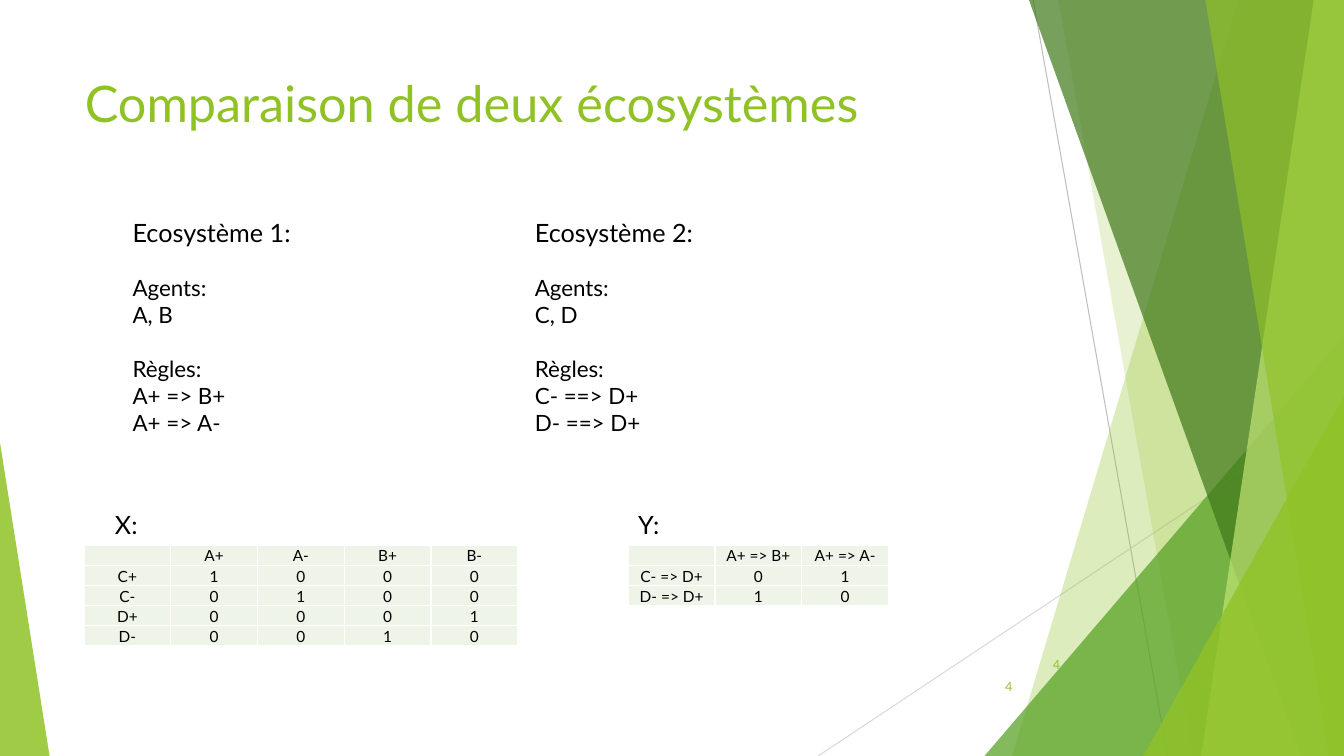
import collections

import lxml.etree
import pptx
import pptx.dml.color
import pptx.enum.shapes
import pptx.enum.text
import pptx.oxml.ns
import pptx.util

Box = collections.namedtuple("Box", "left top width height")
ALIGN = pptx.enum.text.PP_ALIGN
ANCHOR = pptx.enum.text.MSO_ANCHOR
SHAPE = pptx.enum.shapes.MSO_SHAPE
FONT = "Lato"
COLOURS = {
    "lime": "90C226", "green": "54A021", "forest": "3F7819", "pale": "C0E474",
    "grey": "BFBFBF", "light grey": "D9D9D9", "cell": "EEF4E8",
    "white": "FFFFFF", "black": "000000",
}
# The slide is a grid of 160 columns by 90 rows of square cells.
COLUMNS, ROWS = 160, 90
CELL = pptx.util.Inches(7.5) / ROWS
TABLE_COLUMN, TABLE_ROW = 10.33, 2.4


def grid(*cells):
    """Turn numbers of grid cells into lengths."""
    return [pptx.util.Emu(round(cell * CELL)) for cell in cells]


def rgb(name):
    """Return the named colour."""
    return pptx.dml.color.RGBColor.from_string(COLOURS[name])


def add_xml(parent, tag, **attributes):
    """Append a DrawingML element to its parent."""
    return lxml.etree.SubElement(parent, pptx.oxml.ns.qn(tag), attributes)


def format_text(text_frame, size, colour="black", align=ALIGN.LEFT):
    """Give every run the same font, size and colour."""
    for paragraph in text_frame.paragraphs:
        paragraph.alignment = align
        for run in paragraph.runs:
            run.font.name, run.font.size = FONT, pptx.util.Pt(size)
            run.font.color.rgb = rgb(colour)


def add_text(slide, box, text, size, colour="black", align=ALIGN.LEFT, anchor=ANCHOR.TOP):
    """Place a text box and return its frame."""
    text_frame = slide.shapes.add_textbox(*grid(*box)).text_frame
    text_frame.word_wrap = True
    text_frame.vertical_anchor = anchor
    text_frame.text = text
    format_text(text_frame, size, colour, align)
    return text_frame


def paint(shape, colour, opacity):
    """Fill a shape with a see-through colour, without outline or shadow."""
    shape.shadow.inherit = False
    shape.line.fill.background()
    shape.fill.solid()
    shape.fill.fore_color.rgb = rgb(colour)
    fill = shape.fill._xPr.find(pptx.oxml.ns.qn("a:solidFill"))
    add_xml(fill[0], "a:alpha", val=str(opacity * 1000))


def add_line(slide, start, end, colour):
    """Draw a thin straight line."""
    line = slide.shapes.add_connector(
        pptx.enum.shapes.MSO_CONNECTOR.STRAIGHT, *grid(*start, *end))
    line.line.color.rgb = rgb(colour)
    line.line.width = pptx.util.Pt(0.75)
    add_xml(line._element.spPr, "a:effectLst")


def add_triangle(slide, box, apex, colour, opacity):
    """Draw a right triangle with its apex at the left (0) or right (1)."""
    triangle = slide.shapes.add_shape(SHAPE.ISOSCELES_TRIANGLE, *grid(*box))
    triangle.adjustments[0] = apex
    paint(triangle, colour, opacity)


def add_facets(slide, box):
    """Layer lines, slanted bands and triangles against the box's right edge."""
    right, bottom = box.left + box.width, box.top + box.height

    def band(top_width, bottom_width, colour, opacity):
        corners = [(right - top_width, box.top), (right, box.top),
                   (right, bottom), (right - bottom_width, bottom)]
        points = [grid(*corner) for corner in corners]
        builder = slide.shapes.build_freeform(*points[0])
        builder.add_line_segments(points[1:])
        paint(builder.convert_to_shape(), colour, opacity)

    def corner_triangle(width, height, colour, opacity):
        place = Box(right - width, bottom - height, width, height)
        add_triangle(slide, place, 1, colour, opacity)

    add_line(slide, (right - 37, box.top), (right - 21, bottom), "grey")
    add_line(slide, (right, bottom - 41.6), (box.left, bottom), "light grey")
    band(12.6, 39.5, "lime", 30)
    band(34, 18, "lime", 20)
    corner_triangle(42.8, 50, "green", 72)
    band(37.5, 5.1, "forest", 70)
    band(3.6, 17, "pale", 70)
    band(16.5, 1.8, "lime", 65)
    corner_triangle(23.9, 42.8, "lime", 80)


def add_title(slide, box, text):
    """Move and format the title placeholder."""
    title = slide.shapes.title
    title.left, title.top, title.width, title.height = grid(*box)
    title.text_frame.text = text
    title.text_frame.vertical_anchor = ANCHOR.TOP
    format_text(title.text_frame, 36, "lime")


def add_ecosystem(slide, box, name, agents, rules):
    """List an ecosystem's agents and rules under its name."""
    lines = [name, "Agents:", agents, "Règles:", *rules]
    text_frame = add_text(slide, box, "\n".join(lines), 16)
    paragraphs = text_frame.paragraphs
    paragraphs[0].runs[0].font.size = pptx.util.Pt(18)
    for heading in (paragraphs[1], paragraphs[3]):
        heading.space_before = pptx.util.Pt(19.2)


def format_cell(cell, text):
    """Fill, border and centre one table cell."""
    cell.fill.solid()
    cell.fill.fore_color.rgb = rgb("cell")
    cell.vertical_anchor = ANCHOR.BOTTOM
    cell.margin_left = cell.margin_right = cell.margin_top = pptx.util.Inches(0.01)
    cell.margin_bottom = 0
    cell.text_frame.text = text
    format_text(cell.text_frame, 11, align=ALIGN.CENTER)
    if not text:
        add_xml(cell.text_frame.paragraphs[0]._p, "a:endParaRPr", sz="1100")
    properties = cell._tc.get_or_add_tcPr()
    for position, side in enumerate(("a:lnL", "a:lnR", "a:lnT", "a:lnB")):
        border = add_xml(properties, side, w=str(pptx.util.Pt(1)))
        add_xml(add_xml(border, "a:solidFill"), "a:srgbClr", val=COLOURS["white"])
        properties.insert(position, border)


def add_matrix(slide, box, label, label_indent, header, rows):
    """Place a label over a table that fills the rest of the box."""
    add_text(slide, Box(box.left + label_indent, box.top, 7.8, 4.8), label, 18)
    values = [["", *header], *rows]
    width, height = TABLE_COLUMN * len(values[0]), TABLE_ROW * len(values)
    place = Box(box.left, box.top + box.height - height, width, height)
    table = slide.shapes.add_table(len(values), len(values[0]), *grid(*place)).table
    table.first_row = table.horz_banding = False
    for row, texts in zip(table.rows, values):
        row.height = grid(TABLE_ROW)[0]
        for cell, text in zip(row.cells, texts):
            format_cell(cell, text)


def add_page_number(slide, box):
    """Write the page number at the right of the box."""
    add_text(slide, box, "4", 9, "lime", ALIGN.RIGHT, ANCHOR.MIDDLE)


def build_comparison(slide, box):
    """Lay out the comparison of two ecosystems in the box."""
    def part(left, top, width, height):
        return Box(box.left + left, box.top + top, width, height)

    add_facets(slide, part(97.4, 0, 62.6, 90))
    add_triangle(slide, part(0, 52.7, 5.9, 37.3), 0, "lime", 85)
    add_title(slide, part(8.9, 8, 112.8, 17.3), "Comparaison de deux écosystèmes")
    add_ecosystem(slide, part(14.6, 25.3, 38.3, 28.3), "Ecosystème 1:", "A, B",
                  ["A+ => B+", "A+ => A-"])
    add_ecosystem(slide, part(62.5, 25.3, 40.6, 28.3), "Ecosystème 2:", "C, D",
                  ["C- ==> D+", "D- ==> D+"])
    add_matrix(slide, part(10, 60.1, 51.7, 16.8), "X:", 2.5, ["A+", "A-", "B+", "B-"],
               [["C+", *"1000"], ["C-", *"0100"], ["D+", *"0001"], ["D-", *"0010"]])
    add_matrix(slide, part(74.8, 60.1, 31, 12), "Y:", 0, ["A+ => B+", "A+ => A-"],
               [["C- => D+", *"01"], ["D- => D+", *"10"]])
    add_page_number(slide, part(112.7, 79.3, 9, 4.8))
    add_page_number(slide, part(118.4, 76.7, 9, 4.8))


presentation = pptx.Presentation()
presentation.slide_width, presentation.slide_height = grid(COLUMNS, ROWS)
comparison_slide = presentation.slides.add_slide(presentation.slide_layouts[5])
build_comparison(comparison_slide, Box(0, 0, COLUMNS, ROWS))
presentation.save("out.pptx")
